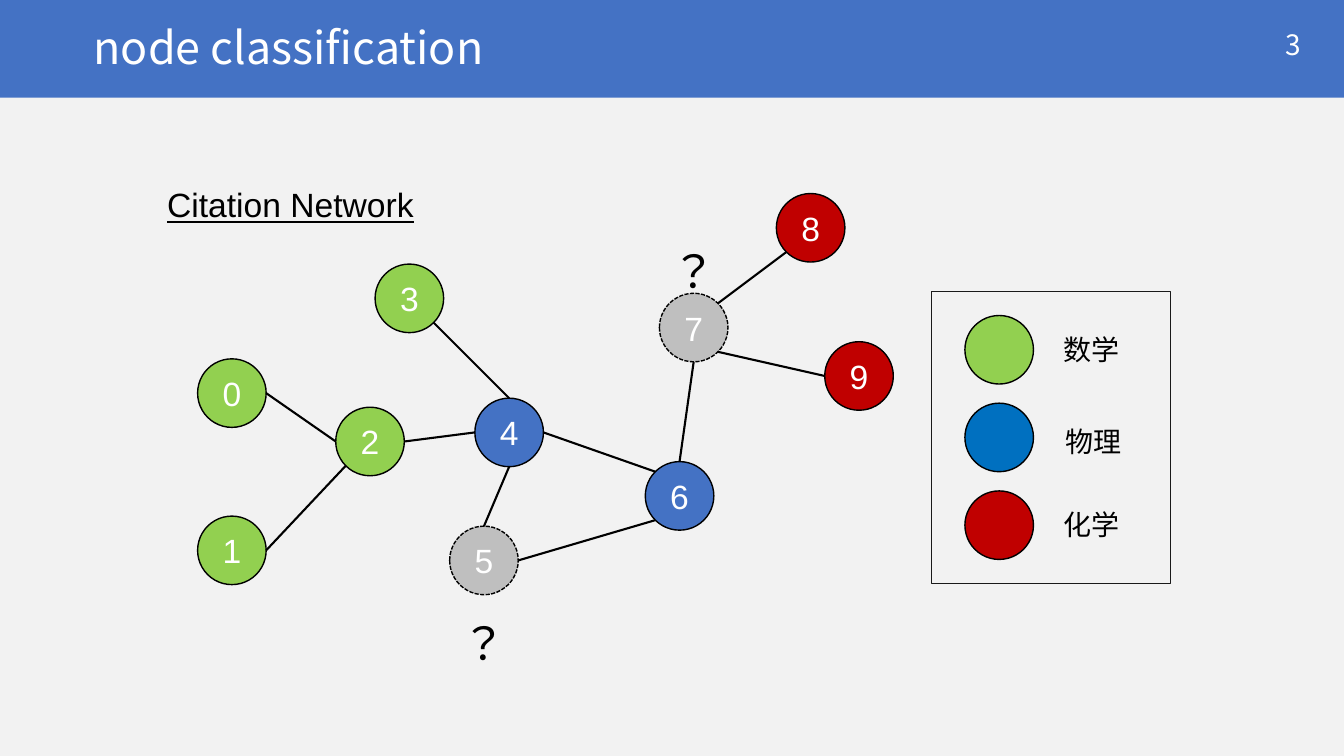
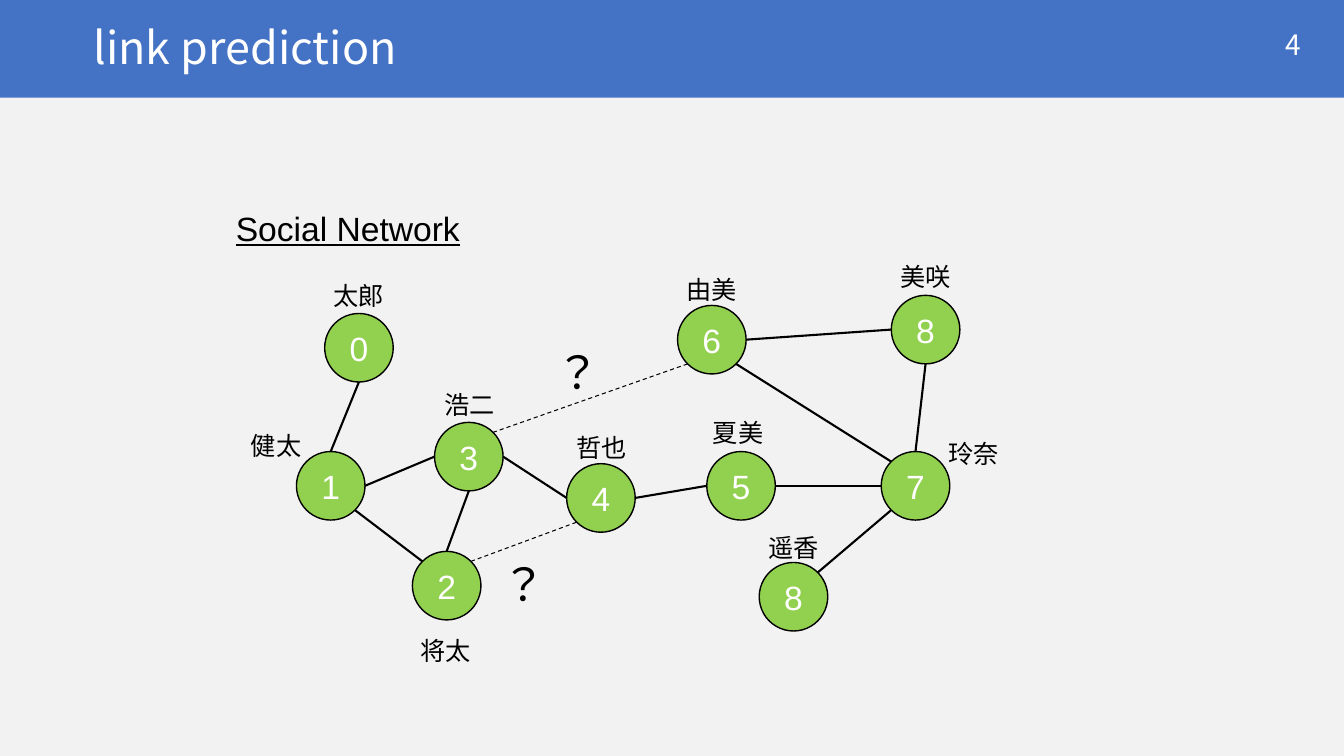
from dataclasses import dataclass
from math import cos, pi, sin

from lxml.etree import SubElement
from pptx import Presentation
from pptx.dml.color import RGBColor as RGB
from pptx.enum.dml import MSO_LINE
from pptx.enum.shapes import MSO_CONNECTOR as CXN, MSO_SHAPE as SHP
from pptx.enum.text import MSO_ANCHOR as ANC, PP_ALIGN as AL
from pptx.oxml.ns import qn
from pptx.util import Pt

PX = 9144


@dataclass(frozen=True)
class Theme:
    page: str = "F2F2F2"
    blue: str = "4472C4"
    green: str = "92D050"
    physics: str = "0070C0"
    red: str = "C00000"
    grey: str = "BFBFBF"
    frame: str = "1A1A1A"
    black: str = "000000"
    white: str = "FFFFFF"
    cjk: str = "Noto Sans CJK JP"
    label: str = "Calibri"
    body: str = "Arial"
    mark_size: int = 32
    title_size: int = 32
    body_size: int = 24
    legend_size: int = 20
    name_size: int = 18


T = Theme()
W, H = 1333, 750
NODE = 68
SITES = ("T", "TL", "L", "BL", "B", "BR", "R", "TR")


def emu(*px):
    return [round(v * PX) for v in px]


def write(sp, text, size=T.body_size, font=T.body, color=T.black, align=AL.LEFT,
          anchor=ANC.TOP, underline=None, spacing=None, before=None, inset=None):
    tf = sp.text_frame
    tf.word_wrap = True
    tf.vertical_anchor = anchor
    if inset is not None:
        tf.margin_left = tf.margin_right = tf.margin_top = tf.margin_bottom = inset
    p = tf.paragraphs[0]
    p.alignment, p.line_spacing, p.space_before = align, spacing, before
    r = p.add_run()
    r.text = text
    f = r.font
    f.size, f.name, f.underline = Pt(size), font, underline
    f.color.rgb = RGB.from_string(color)
    SubElement(f._element, qn("a:ea")).set("typeface", T.cjk)


def textbox(s, box, text, **fmt):
    write(s.shapes.add_textbox(*emu(*box)), text, **fmt)


def centred(s, x, y, text, **fmt):
    textbox(s, (x - 63, y, 126, 40), text, align=AL.CENTER, **fmt)


def shape(s, kind, box, fill=None, line=None, dash=None):
    sp = s.shapes.add_shape(kind, *emu(*box))
    sp.shadow.inherit = False
    if fill:
        sp.fill.solid()
        sp.fill.fore_color.rgb = RGB.from_string(fill)
    else:
        sp.fill.background()
    if line:
        sp.line.color.rgb = RGB.from_string(line)
        sp.line.width = Pt(1)
        sp.line.dash_style = dash
    else:
        sp.line.fill.background()
    return sp


def circle(s, x, y, fill, dash=None):
    return shape(s, SHP.OVAL, (x, y, NODE, NODE), fill, T.black, dash)


def site_point(sp, site):
    a = pi / 2 + SITES.index(site) * pi / 4
    r = sp.width / 2
    return round(sp.left + r + r * cos(a)), round(sp.top + r - r * sin(a))


def edge(s, nodes, start, from_site, end, to_site, dashed=False):
    ends = ((nodes[start], from_site), (nodes[end], to_site))
    cx = s.shapes.add_connector(CXN.STRAIGHT, *site_point(*ends[0]), *site_point(*ends[1]))
    cx.line.color.rgb = RGB.from_string(T.black)
    cx.line.width = Pt(0.75 if dashed else 1.5)
    if dashed:
        cx.line.dash_style = MSO_LINE.DASH
    SubElement(cx._element.spPr, qn("a:effectLst"))
    glue = cx._element.find(".//" + qn("p:cNvCxnSpPr"))
    for tag, (sp, site) in zip(("a:stCxn", "a:endCxn"), ends):
        el = SubElement(glue, qn(tag))
        el.set("id", str(sp.shape_id))
        el.set("idx", str(SITES.index(site)))


def header(s, box, title, number):
    x, y, w, h = box
    shape(s, SHP.RECTANGLE, box, T.blue)
    textbox(s, (x + 83, y + 19, 1002, 62), title, size=T.title_size, font=T.cjk,
            color=T.white, anchor=ANC.MIDDLE, spacing=0.9, before=Pt(10))
    textbox(s, (x + w - 197, y + 24, 164, 40), str(number), size=T.legend_size,
            font=T.cjk, color=T.white, align=AL.RIGHT, anchor=ANC.MIDDLE)


def network(s, origin, heading, nodes, edges, marks, names=()):
    x, y = origin
    textbox(s, (x, y, 300, 50), heading, underline=True)
    discs = []
    for label, dx, dy, fill in nodes:
        dash = MSO_LINE.SQUARE_DOT if fill == T.grey else None
        sp = circle(s, x + dx, y + dy, fill, dash)
        write(sp, label, color=T.white, align=AL.CENTER, anchor=ANC.MIDDLE, inset=0)
        discs.append(sp)
    for e in edges:
        edge(s, discs, *e)
    for dx, dy in marks:
        centred(s, x + dx, y + dy, "？", size=T.mark_size, font=T.label)
    for name, dx, dy in names:
        centred(s, x + dx, y + dy, name, size=T.name_size, font=T.label)


def legend(s, box, entries):
    x, y, _, _ = box
    for i, (text, fill, dx, dy) in enumerate(entries):
        circle(s, x + 33, y + 24 + 87 * i, fill)
        centred(s, x + dx, y + dy, text, size=T.legend_size, font=T.label)
    shape(s, SHP.RECTANGLE, box, line=T.frame)


def new_slide(prs, title, number):
    s = prs.slides.add_slide(prs.slide_layouts[6])
    header(s, (0, 0, W, 97), title, number)
    return s


def classification_slide(prs):
    s = new_slide(prs, "node classification", 3)
    nodes = [
        ("0", 40, 178, T.green), ("1", 40, 334, T.green), ("2", 177, 226, T.green),
        ("3", 216, 84, T.green), ("4", 315, 217, T.blue), ("5", 290, 344, T.grey),
        ("6", 484, 280, T.blue), ("7", 498, 113, T.grey), ("8", 614, 14, T.red),
        ("9", 662, 161, T.red),
    ]
    edges = [
        (0, "R", 2, "L"), (1, "R", 2, "BL"), (2, "R", 4, "L"), (3, "BR", 4, "T"),
        (4, "R", 6, "TL"), (5, "T", 4, "B"), (5, "R", 6, "BL"), (6, "T", 7, "B"),
        (8, "BL", 7, "TR"), (7, "BR", 9, "L"),
    ]
    network(s, (156, 178), "Citation Network", nodes, edges, [(324, 428), (532, 59)])
    legend(s, (924, 289, 237, 290), [
        ("数学", T.green, 159, 36),
        ("物理", T.physics, 161, 127),
        ("化学", T.red, 159, 210),
    ])


def prediction_slide(prs):
    s = new_slide(prs, "link prediction", 4)
    spots = [
        ("0", 98, 110), ("1", 70, 247), ("2", 185, 346), ("3", 207, 218),
        ("4", 338, 259), ("5", 477, 247), ("6", 448, 102), ("7", 650, 247),
        ("8", 529, 357), ("8", 660, 92),
    ]
    edges = [
        (0, "B", 1, "T"), (3, "L", 1, "R"), (2, "TL", 1, "BR"), (2, "T", 3, "B"),
        (3, "R", 4, "L"), (4, "R", 5, "L"), (7, "L", 5, "R"), (7, "TL", 6, "BR"),
        (7, "BL", 8, "TR"), (9, "L", 6, "R"), (7, "T", 9, "B"),
        (2, "TR", 4, "BL", True), (6, "BL", 3, "TR", True),
    ]
    names = [
        ("太郎", 132, 72), ("健太", 50, 221), ("将太", 218, 424), ("浩二", 242, 180),
        ("哲也", 373, 223), ("夏美", 508, 208), ("由美", 482, 66), ("玲奈", 742, 229),
        ("遥香", 563, 322), ("美咲", 694, 53),
    ]
    network(s, (224, 201), "Social Network", [(*n, T.green) for n in spots], edges,
            [(349, 136), (296, 346)], names)


def main():
    prs = Presentation()
    prs.slide_width, prs.slide_height = emu(W, H)
    bg = prs.slide_master.background.fill
    bg.solid()
    bg.fore_color.rgb = RGB.from_string(T.page)
    classification_slide(prs)
    prediction_slide(prs)
    prs.save("out.pptx")


if __name__ == "__main__":
    main()
